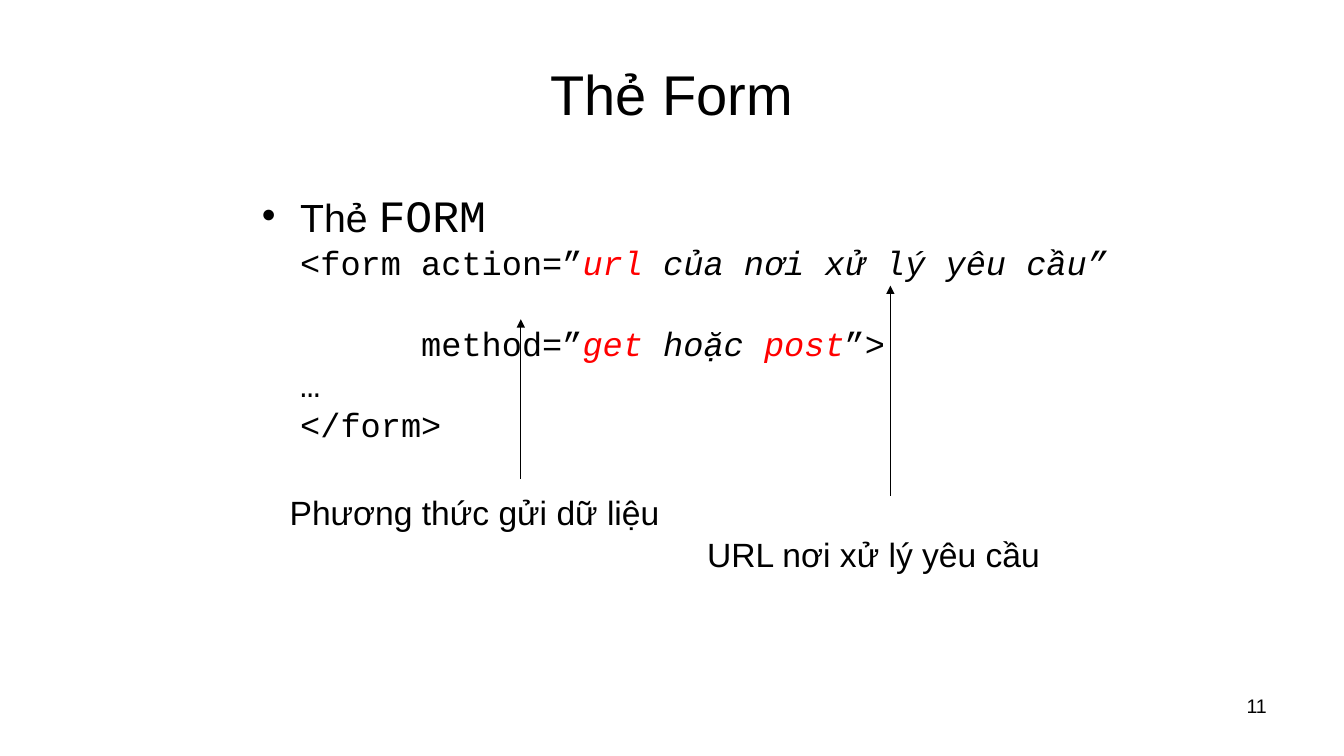
from pptx import Presentation
from pptx import util as u
from pptx.dml.color import RGBColor
from pptx.enum import shapes, text
from pptx.oxml import parse_xml
from pptx.oxml.ns import nsdecls, qn

THEME = {
    "ink": RGBColor(0, 0, 0),
    "accent": RGBColor(255, 0, 0),
    "sans": "Arial",
    "mono": "Courier New",
    "title": 40,
    "keyword": 32,
    "body": 28,
    "code": 24,
    "number": 14,
    "keyword_line": 43,
    "code_line": 29,
    "arrow": 0.75,
}
LEFT, CENTER, RIGHT = text.PP_ALIGN.LEFT, text.PP_ALIGN.CENTER, text.PP_ALIGN.RIGHT

presentation = Presentation()
presentation.slide_width = u.Inches(13.33)
presentation.slide_height = u.Inches(7.5)
slide = presentation.slides.add_slide(presentation.slide_layouts[6])

# The grid has 160 columns and 90 rows.
COLUMN = presentation.slide_width / 160
ROW = presentation.slide_height / 90


def add_text(frame_or_paragraph, words, size, font="sans", color="ink", italic=False):
    """Append one formatted run to a paragraph."""
    run = frame_or_paragraph.add_run()
    run.text = words
    run.font.name = THEME[font]
    run.font.size = u.Pt(THEME[size])
    run.font.color.rgb = THEME[color]
    run.font.italic = italic


def add_box(column, row, columns, rows, align=LEFT, anchor=text.MSO_ANCHOR.TOP):
    """Place an empty text box on the grid and return its text frame."""
    box = slide.shapes.add_textbox(
        int(column * COLUMN), int(row * ROW), int(columns * COLUMN), int(rows * ROW))
    frame = box.text_frame
    frame.word_wrap = True
    frame.vertical_anchor = anchor
    frame.paragraphs[0].alignment = align
    return frame


# Title, page number and the two labels
for words, size, place, align, anchor in [
    ("Thẻ Form", "title", (8, 3.6, 144, 15), CENTER, text.MSO_ANCHOR.MIDDLE),
    ("11", "number", (114.7, 82, 37.3, 6.25), RIGHT, text.MSO_ANCHOR.TOP),
    ("URL nơi xử lý yêu cầu", "code", (83, 63, 45, 6), LEFT, text.MSO_ANCHOR.TOP),
    ("Phương thức gửi dữ liệu", "code", (30, 58, 53, 6), CENTER, text.MSO_ANCHOR.TOP),
]:
    frame = add_box(*place, align=align, anchor=anchor)
    add_text(frame.paragraphs[0], words, size)

# Bulleted heading of the code sample
body = add_box(30, 21, 104, 28)
heading = body.paragraphs[0]
heading.line_spacing = u.Pt(THEME["keyword_line"])
indent = u.Inches(0.38)
properties = heading._p.get_or_add_pPr()
properties.set("marL", str(indent))
properties.set("indent", str(-indent))
properties.append(parse_xml(f'<a:buFont {nsdecls("a")} typeface="Arial"/>'))
properties.append(parse_xml(f'<a:buChar {nsdecls("a")} char="•"/>'))
add_text(heading, "Thẻ ", "body")
add_text(heading, "FORM", "keyword", font="mono")

# Code lines: indent in characters, blank lines before, runs of (words, color, italic)
CHARACTER = u.Inches(0.2)
for characters, gap, runs in [
    (0, 0, [("<form action=”", "ink", False), ("url", "accent", True),
            (" của nơi xử lý yêu cầu”", "ink", True)]),
    (6, 1, [("method=”", "ink", False), ("get", "accent", True),
            (" hoặc ", "ink", True), ("post", "accent", True), ("”>", "ink", False)]),
    (0, 0, [("…", "ink", False)]),
    (0, 0, [("</form>", "ink", False)]),
]:
    line = body.add_paragraph()
    line.line_spacing = u.Pt(THEME["code_line"])
    line.space_before = u.Pt(gap * THEME["code_line"])
    line._p.get_or_add_pPr().set("marL", str(indent + characters * CHARACTER))
    for words, color, italic in runs:
        add_text(line, words, "code", font="mono", color=color, italic=italic)

# Arrows from the labels up to the attributes
for column, bottom, top in [(106, 59, 34), (62, 57, 38)]:
    arrow = slide.shapes.add_connector(
        shapes.MSO_CONNECTOR.STRAIGHT,
        int(column * COLUMN), int(bottom * ROW), int(column * COLUMN), int(top * ROW))
    arrow.line.color.rgb = THEME["ink"]
    arrow.line.width = u.Pt(THEME["arrow"])
    arrow.line._get_or_add_ln().append(
        parse_xml(f'<a:tailEnd {nsdecls("a")} type="triangle"/>'))
    arrow._element.spPr.append(arrow._element.makeelement(qn("a:effectLst"), {}))

presentation.save("out.pptx")
